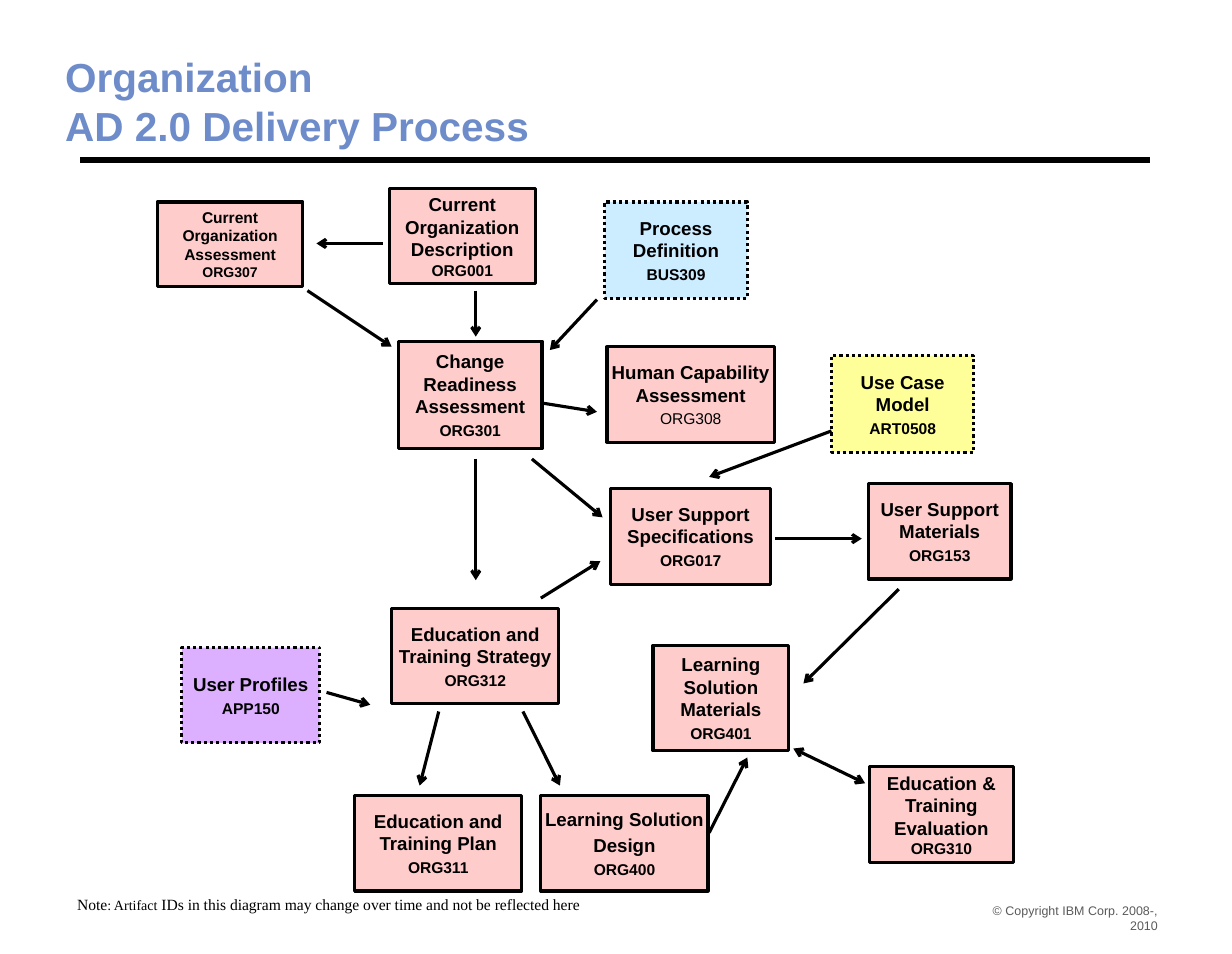
import pptx
import pptx.util
import pptx.dml.color
import pptx.enum.dml
import pptx.enum.shapes
import pptx.enum.text
import pptx.oxml
import pptx.oxml.ns

Pt = pptx.util.Pt
RGBColor = pptx.dml.color.RGBColor
MSO_ANCHOR = pptx.enum.text.MSO_ANCHOR
PP_ALIGN = pptx.enum.text.PP_ALIGN

WIDTH, HEIGHT = pptx.util.Inches(10.98), pptx.util.Inches(8.5)
BLACK = RGBColor(0x00, 0x00, 0x00)
TITLE_BLUE = RGBColor(0x6E, 0x8C, 0xCA)
FOOTER_GRAY = RGBColor(0x5A, 0x5A, 0x5A)
PINK = RGBColor(0xFF, 0xCC, 0xCC)
SKY = RGBColor(0xCC, 0xEC, 0xFF)
YELLOW = RGBColor(0xFF, 0xFF, 0x99)
VIOLET = RGBColor(0xDD, 0xB0, 0xFF)

# The diagram is laid out on this many columns and rows.
COLS, ROWS = 90, 70

# Organization artifacts: column, row, width, height, name, ID
ARTIFACTS = [
    (25.5, 20.4, 12.8, 9.6, ["Change Readiness Assessment"], "ORG301"),
    (24.9, 44.2, 14.9, 8.5, ["Education and Training Strategy"], "ORG312"),
    (44.4, 33.5, 14.3, 8.6, ["User Support Specifications"], "ORG017"),
    (48.2, 47.5, 12.1, 9.4, ["Learning Solution Materials"], "ORG401"),
    (67.4, 33.1, 12.7, 8.5, ["User Support Materials"], "ORG153"),
    (21.6, 60.9, 14.9, 8.5, ["Education and Training Plan"], "ORG311"),
    (38.2, 60.9, 14.9, 8.5, ["Learning Solution", "Design"], "ORG400"),
]
# Artifacts whose ID follows the name without a gap
TIGHT_ARTIFACTS = [
    (24.7, 6.8, 13, 8.5, ["Current Organization Description"], "ORG001"),
    (67.5, 58.3, 12.8, 8.6, ["Education & Training Evaluation"], "ORG310"),
]
# Artifacts that come from other domains, each with its fill
EXTERNAL_ARTIFACTS = [
    (SKY, (43.9, 8, 12.7, 8.6, ["Process Definition"], "BUS309")),
    (VIOLET, (6.2, 47.7, 12.3, 8.5, ["User Profiles"], "APP150")),
    (YELLOW, (64.1, 21.7, 12.7, 8.6, ["Use Case Model"], "ART0508")),
]
CURRENT_ASSESSMENT = (4, 8, 13, 7.5, ["Current Organization Assessment"], "ORG307")
HUMAN_CAPABILITY = (44.1, 20.9, 14.9, 8.5, ["Human Capability Assessment"], "ORG308")

# Arrows: from column, row to column, row
ARROWS = [
    (32.4, 15.9, 32.4, 20), (19.1, 51.7, 23, 52.8), (38.2, 43.3, 43.5, 40),
    (53.2, 64.2, 56.6, 57.5), (37.4, 30.9, 43.7, 36.1), (43.2, 16.7, 39, 21.2),
    (64.1, 28.4, 53.2, 32.5), (24.1, 11.7, 18.2, 11.7), (17.4, 15.9, 24.9, 20.9),
    (32.4, 30.9, 32.4, 41.7), (59.1, 38, 66.8, 38), (70.1, 42.5, 61.6, 50.9),
    (29.1, 53.4, 27.4, 60), (36.6, 53.4, 39.9, 60), (38.2, 25.9, 43.2, 26.7),
]
TWO_WAY_ARROW = (60.7, 56.7, 67.1, 59.8)


def share(x, y, w, h):
    """Turn percentages of the slide into a box."""
    return tuple(round(v * side / 100)
                 for v, side in zip((x, y, w, h), (WIDTH, HEIGHT) * 2))


def on_grid(box, points):
    """Turn alternating columns and rows into slide positions inside box."""
    left, top, width, height = box
    return [round(left + v * width / COLS) if i % 2 == 0
            else round(top + v * height / ROWS) for i, v in enumerate(points)]


def set_frame(tf, anchor, wrap=True, inset_x=0, inset_y=0):
    tf.auto_size = pptx.enum.text.MSO_AUTO_SIZE.NONE
    tf.word_wrap = wrap
    tf.vertical_anchor = anchor
    tf.margin_left = tf.margin_right = Pt(inset_x)
    tf.margin_top = tf.margin_bottom = Pt(inset_y)


def add_run(p, text, size, color=BLACK, bold=False, font="Arial"):
    r = p.add_run()
    r.text = text
    r.font.name, r.font.size, r.font.bold = font, Pt(size), bold
    r.font.color.rgb = color


def add_line(slide, ends, width, heads=()):
    line = slide.shapes.add_connector(
        pptx.enum.shapes.MSO_CONNECTOR.STRAIGHT, *ends)
    line.line.color.rgb = BLACK
    line.line.width = Pt(width)
    ln = line.line._get_or_add_ln()
    for head in heads:
        end = pptx.oxml.parse_xml(
            f'<a:{head} {pptx.oxml.ns.nsdecls("a")} type="arrow"/>')
        ln.append(end)
    line._element.spPr.append(pptx.oxml.parse_xml(
        f'<a:effectLst {pptx.oxml.ns.nsdecls("a")}/>'))


def add_artifact(slide, box, artifact, fill=PINK, dotted=False, gap=2.2,
                 name_size=12, id_size=10, id_bold=True):
    *place, names, artifact_id = artifact
    col, row, w, h = place
    left, top, right, bottom = on_grid(box, (col, row, col + w, row + h))
    sp = slide.shapes.add_shape(pptx.enum.shapes.MSO_SHAPE.RECTANGLE,
                                left, top, right - left, bottom - top)
    sp.shadow.inherit = False
    sp.fill.solid()
    sp.fill.fore_color.rgb = fill
    sp.line.color.rgb = BLACK
    sp.line.width = Pt(2)
    if dotted:
        sp.line.dash_style = pptx.enum.dml.MSO_LINE.ROUND_DOT
    tf = sp.text_frame
    set_frame(tf, MSO_ANCHOR.MIDDLE)
    lines = [(name, name_size, True, gap) for name in names]
    lines.append((artifact_id, id_size, id_bold, 1.9))
    for i, (text, size, bold, after) in enumerate(lines):
        p = tf.add_paragraph() if i else tf.paragraphs[0]
        p.alignment = PP_ALIGN.CENTER
        p.space_after = Pt(after)
        add_run(p, text, size, bold=bold)


def add_header(slide, box):
    left, top, width, height = box
    title = slide.shapes.title
    title.left, title.top, title.width, title.height = box
    tf = title.text_frame
    set_frame(tf, MSO_ANCHOR.BOTTOM)
    for i, text in enumerate(["Organization", "AD 2.0 Delivery Process"]):
        p = tf.add_paragraph() if i else tf.paragraphs[0]
        p.alignment = PP_ALIGN.LEFT
        add_run(p, text, 26, TITLE_BLUE, True)
    rule_y = round(top + 1.11 * height)
    add_line(slide, (round(left + 0.014 * width), rule_y,
                     round(left + 0.984 * width), rule_y), 4)


def add_diagram(slide, box):
    for artifact in ARTIFACTS:
        add_artifact(slide, box, artifact)
    for artifact in TIGHT_ARTIFACTS:
        add_artifact(slide, box, artifact, gap=0)
    for fill, artifact in EXTERNAL_ARTIFACTS:
        add_artifact(slide, box, artifact, fill, dotted=True)
    add_artifact(slide, box, CURRENT_ASSESSMENT, gap=0, name_size=10, id_size=9)
    add_artifact(slide, box, HUMAN_CAPABILITY, id_bold=False)
    for ends in ARROWS:
        add_line(slide, on_grid(box, ends), 2, ["tailEnd"])
    add_line(slide, on_grid(box, TWO_WAY_ARROW), 2, ["headEnd", "tailEnd"])


def add_note(slide, box):
    tf = slide.shapes.add_textbox(*box).text_frame
    set_frame(tf, MSO_ANCHOR.TOP, False, 7.2, 3.6)
    p = tf.paragraphs[0]
    for text, size in [
            ("Note", 10), (": Artifact", 9),
            (" IDs in this diagram may change over time and not be reflected here", 10)]:
        add_run(p, text, size, font="Times New Roman")


def add_copyright(slide, box):
    tf = slide.shapes.add_textbox(*box).text_frame
    set_frame(tf, MSO_ANCHOR.TOP)
    p = tf.paragraphs[0]
    p.alignment = PP_ALIGN.RIGHT
    add_run(p, "© Copyright IBM Corp. 2008-, 2010", 8, FOOTER_GRAY)


def main():
    prs = pptx.Presentation()
    prs.slide_width, prs.slide_height = WIDTH, HEIGHT
    slide = prs.slides.add_slide(prs.slide_layouts[5])
    add_header(slide, share(5.28, 5.41, 89.53, 10.24))
    add_diagram(slide, share(9.11, 11.76, 81.97, 82.35))
    add_note(slide, share(5.37, 93.18, 42.62, 3.18))
    add_copyright(slide, share(78.51, 94.65, 15.48, 3.2))
    prs.save("out.pptx")


if __name__ == "__main__":
    main()
